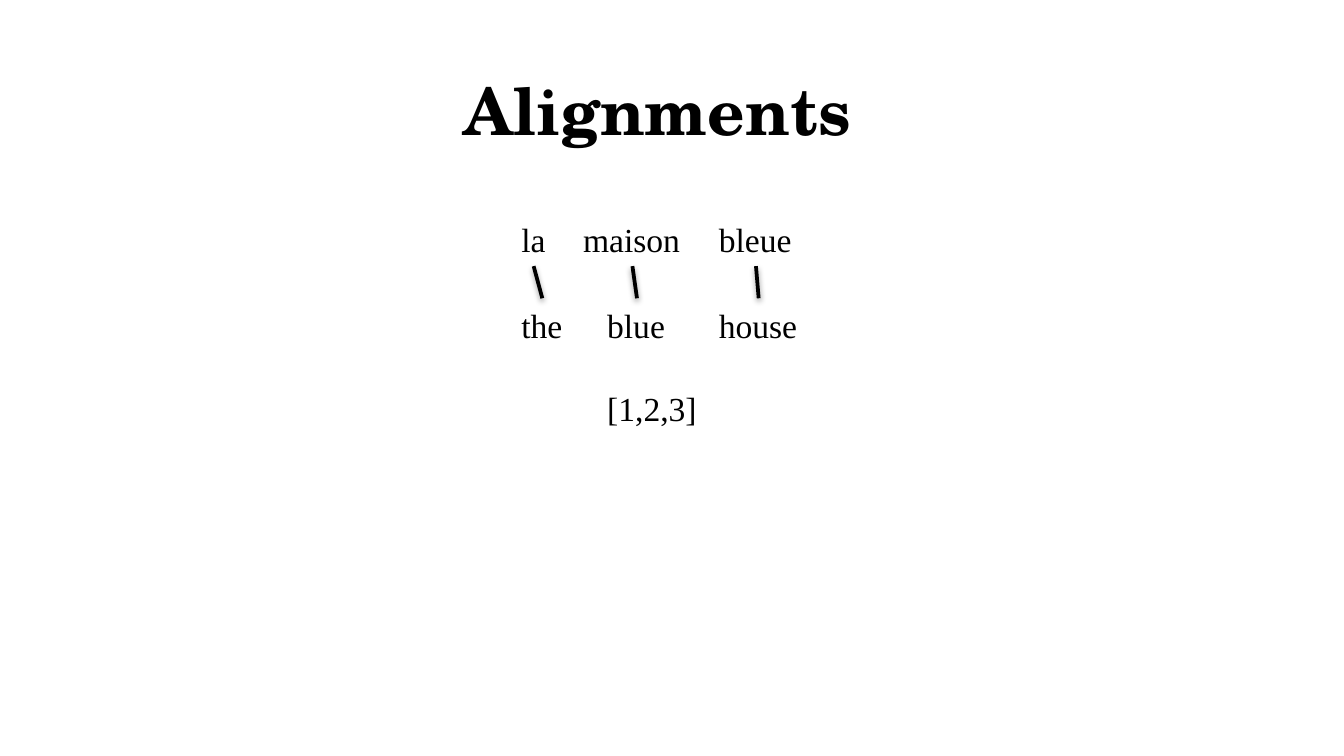
from dataclasses import dataclass

from lxml.etree import SubElement
from pptx import Presentation
from pptx.dml.color import RGBColor
from pptx.enum.shapes import MSO_CONNECTOR as Connector
from pptx.enum.text import MSO_ANCHOR as Anchor, MSO_AUTO_SIZE as AutoSize, PP_ALIGN as Align
from pptx.oxml.ns import qn
from pptx.slide import Slide
from pptx.util import Pt

BLACK = RGBColor(0, 0, 0)
SERIF = "Times New Roman"
SCHOLA = "TeX Gyre Schola"
ROW_HEIGHT = 28.8
FRENCH_TOP, ENGLISH_TOP, VECTOR_TOP = 113.8, 159.8, 204.5


@dataclass(frozen=True)
class Word:
    text: str
    left: float
    width: float

    @property
    def center(self) -> float:
        return self.left + self.width / 2


FRENCH = [Word("la", 272.2, 27.4), Word("maison", 305.3, 67), Word("bleue", 378, 54)]
ENGLISH = [Word("the", 272.2, 36.7), Word("blue", 318.2, 46.1), Word("house", 378, 56.9)]
VECTOR = Word("[1,2,3]", 318.2, 63.4)


def style_text(frame, text: str, face: str, size: float, bold: bool = False) -> None:
    frame.text = text
    font = frame.paragraphs[0].runs[0].font
    font.name = face
    font.size = Pt(size)
    font.bold = bold
    font.color.rgb = BLACK


def add_title(slide: Slide, text: str) -> None:
    frame = slide.shapes.add_textbox(Pt(20.2), Pt(31), Pt(663.8), Pt(55.4)).text_frame
    frame.word_wrap = True
    frame.vertical_anchor = Anchor.MIDDLE
    style_text(frame, text, SCHOLA, 35, bold=True)
    frame.paragraphs[0].alignment = Align.CENTER


def add_word(slide: Slide, word: Word, top: float) -> None:
    frame = slide.shapes.add_textbox(
        Pt(word.left), Pt(top), Pt(word.width), Pt(ROW_HEIGHT)
    ).text_frame
    frame.word_wrap = False
    frame.auto_size = AutoSize.SHAPE_TO_FIT_TEXT
    style_text(frame, word.text, SERIF, 18)


def add_link(slide: Slide, source: Word, target: Word) -> None:
    link = slide.shapes.add_connector(
        Connector.STRAIGHT,
        Pt(source.center), Pt(FRENCH_TOP + ROW_HEIGHT),
        Pt(target.center), Pt(ENGLISH_TOP),
    )
    link.line.color.rgb = BLACK
    link.line.width = Pt(2)
    effects = SubElement(link._element.spPr, qn("a:effectLst"))
    shadow = SubElement(
        effects, qn("a:outerShdw"),
        blurRad=str(Pt(3.1)), dist=str(Pt(1.6)), dir="5400000", rotWithShape="0",
    )
    color = SubElement(shadow, qn("a:srgbClr"), val=str(BLACK))
    SubElement(color, qn("a:alpha"), val="38000")


def main() -> None:
    """Build the slide that aligns a French phrase with its English words."""
    deck = Presentation()
    deck.slide_width, deck.slide_height = Pt(720), Pt(405)
    slide = deck.slides.add_slide(deck.slide_layouts[6])
    add_title(slide, "Alignments")
    for top, words in ((FRENCH_TOP, FRENCH), (ENGLISH_TOP, ENGLISH)):
        for word in words:
            add_word(slide, word, top)
    for source, target in zip(FRENCH, ENGLISH):
        add_link(slide, source, target)
    add_word(slide, VECTOR, VECTOR_TOP)
    deck.save("out.pptx")


if __name__ == "__main__":
    main()
